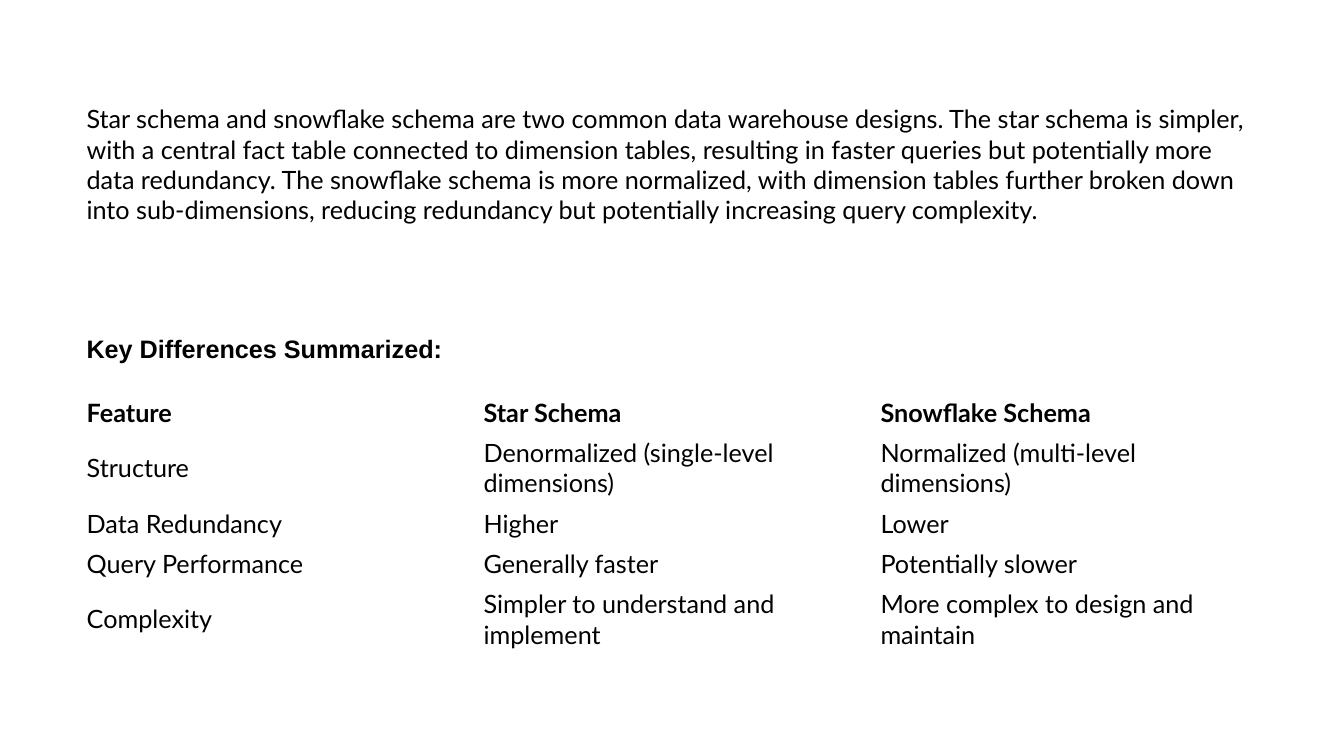
from pptx import Presentation
from pptx import util as u
from pptx.dml.color import RGBColor
from pptx.enum import text

WIDTH, HEIGHT = 13.33, 7.5
LEFT, CONTENT_WIDTH = 0.76, 11.81
LINE_ROW, WRAPPED_ROW = 0.4, 0.7
BLACK = "000000"

INTRO = (
    "Star schema and snowflake schema are two common data warehouse designs. "
    "The star schema is simpler, with a central fact table connected to dimension tables, "
    "resulting in faster queries but potentially more data redundancy. "
    "The snowflake schema is more normalized, with dimension tables further broken down "
    "into sub-dimensions, reducing redundancy but potentially increasing query complexity."
)
DIFFERENCES = [
    (LINE_ROW, ["Feature", "Star Schema", "Snowflake Schema"]),
    (WRAPPED_ROW, ["Structure", "Denormalized (single-level dimensions)",
                   "Normalized (multi-level dimensions)"]),
    (LINE_ROW, ["Data Redundancy", "Higher", "Lower"]),
    (LINE_ROW, ["Query Performance", "Generally faster", "Potentially slower"]),
    (WRAPPED_ROW, ["Complexity", "Simpler to understand and implement",
                   "More complex to design and maintain"]),
]


def color(value):
    return RGBColor.from_string(value)


def write(tf, content, font="Lato", bold=False):
    tf.text = content
    r = tf.paragraphs[0].runs[0]
    r.font.name = font
    r.font.size = u.Pt(18)
    r.font.bold = bold
    r.font.color.rgb = color(BLACK)


def add_text(s, top, height, content, **style):
    sp = s.shapes.add_textbox(u.Inches(LEFT), u.Inches(top),
                              u.Inches(CONTENT_WIDTH), u.Inches(height))
    tf = sp.text_frame
    tf.word_wrap = True
    write(tf, content, **style)


def add_comparison(s, top, rows):
    columns = len(rows[0][1])
    total = sum(height for height, _ in rows)
    table = s.shapes.add_table(len(rows), columns, u.Inches(LEFT), u.Inches(top),
                               u.Inches(CONTENT_WIDTH), u.Inches(total)).table
    table.first_row = False
    table.horz_banding = False
    for row, (height, values) in enumerate(rows):
        table.rows[row].height = u.Inches(height)
        for column, value in enumerate(values):
            cell = table.cell(row, column)
            cell.fill.background()
            cell.vertical_anchor = text.MSO_ANCHOR.MIDDLE
            write(cell.text_frame, value, bold=row == 0)


def main():
    prs = Presentation()
    prs.slide_width, prs.slide_height = u.Inches(WIDTH), u.Inches(HEIGHT)
    s = prs.slides.add_slide(prs.slide_layouts[6])
    add_comparison(s, 3.89, DIFFERENCES)
    add_text(s, 3.26, 0.4, "Key Differences Summarized:", font="Arial", bold=True)
    add_text(s, 0.98, 1.31, INTRO)
    prs.save("out.pptx")


if __name__ == "__main__":
    main()
